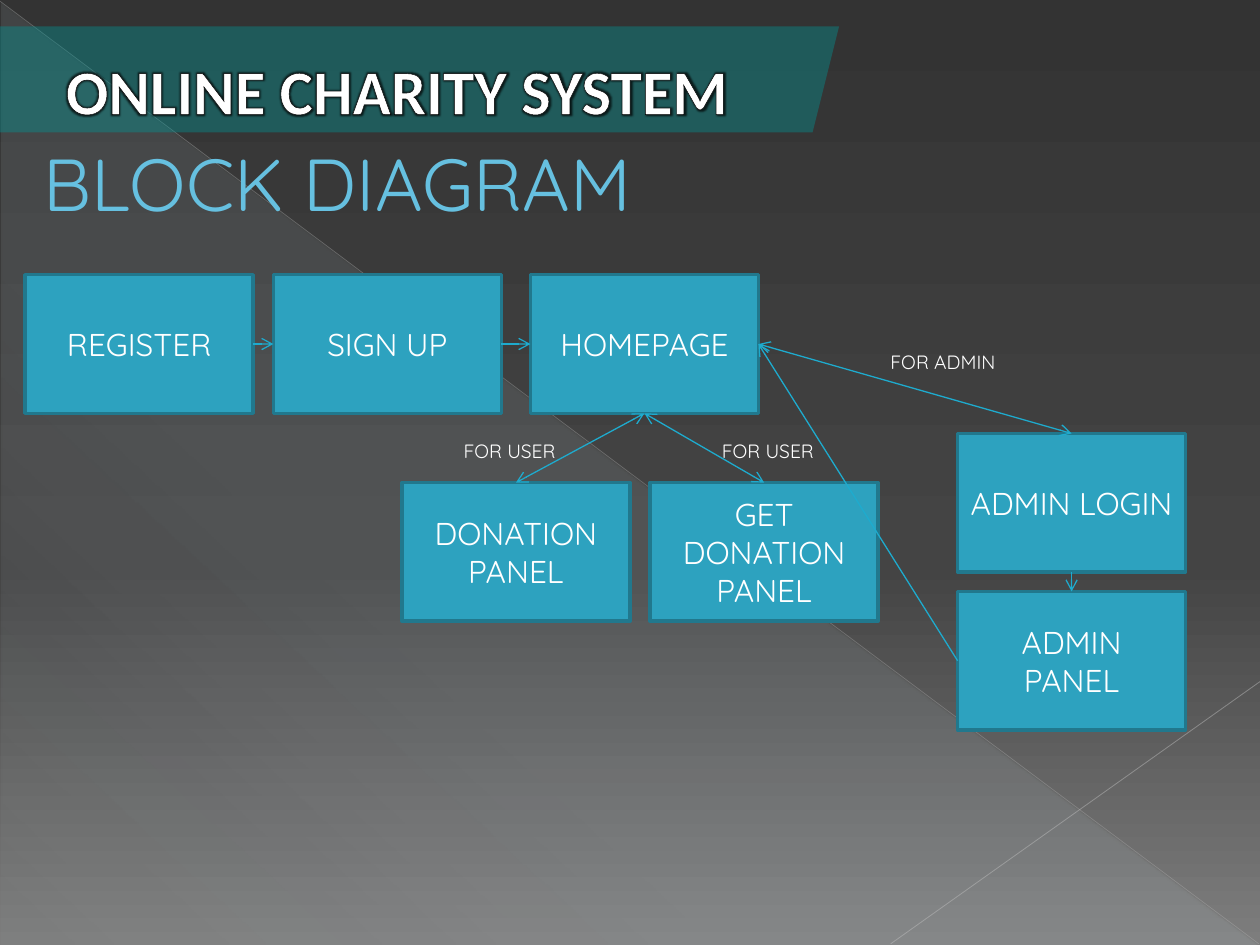
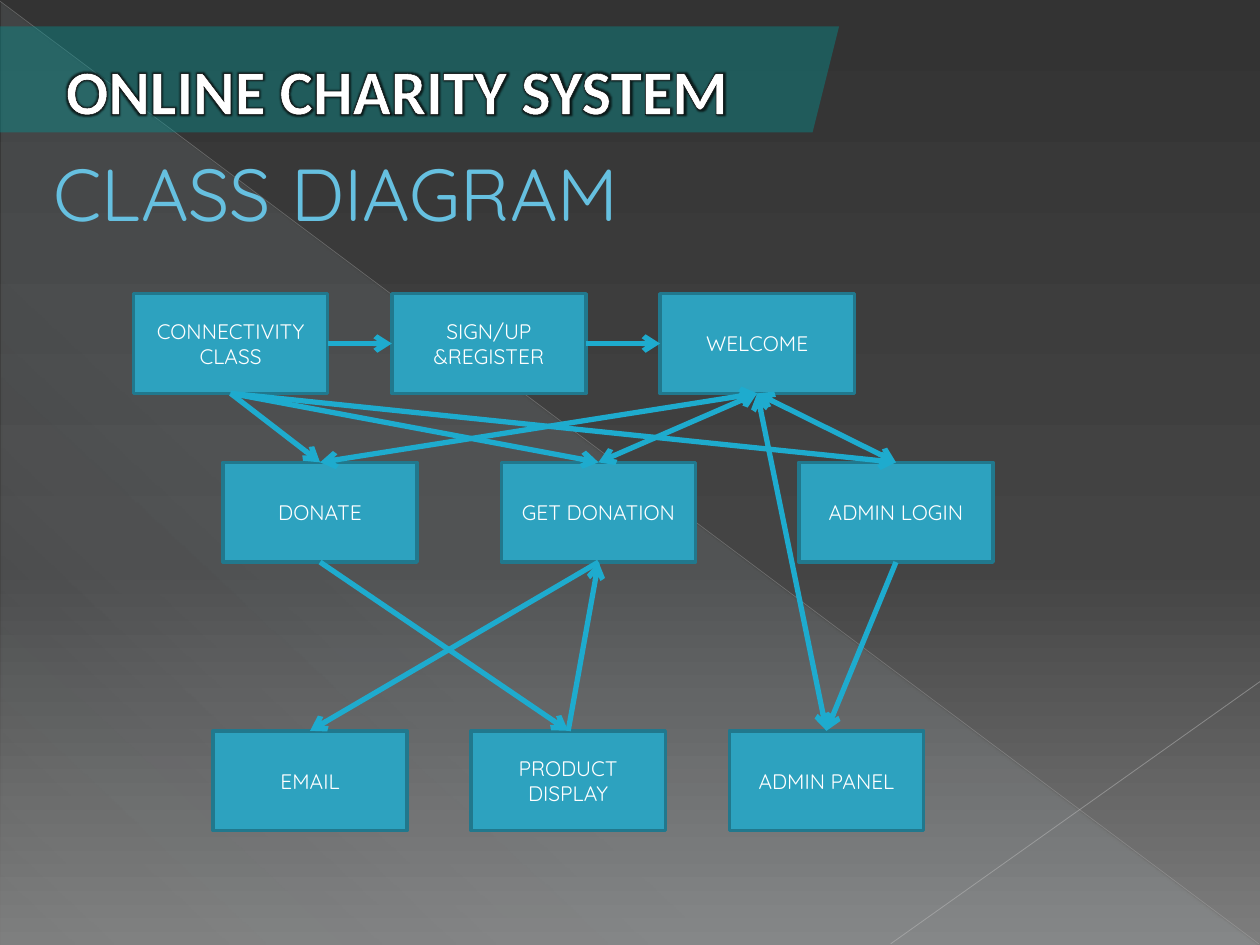
import pptx
import pptx.util
import pptx.dml.color
import pptx.enum.dml
import pptx.enum.shapes
import pptx.enum.text
import pptx.oxml
import pptx.oxml.ns
from lxml import etree

Pt = pptx.util.Pt
RGB = pptx.dml.color.RGBColor
qn = pptx.oxml.ns.qn
SHAPE = pptx.enum.shapes.MSO_SHAPE
ALIGN = pptx.enum.text.PP_ALIGN
ANCHOR = pptx.enum.text.MSO_ANCHOR

# Shared colours and fonts
WHITE = RGB(0xFF, 0xFF, 0xFF)
BLACK = RGB(0x00, 0x00, 0x00)
TITLE_BLUE = RGB(0x66, 0xC0, 0xE0)
TITLE_EDGE = RGB(0x1F, 0x70, 0x84)
BOX_FILL = RGB(0x2D, 0xA2, 0xBF)
BOX_EDGE = RGB(0x21, 0x78, 0x8D)
ARROW = RGB(0x1E, 0xAB, 0xCE)
BAND = RGB(0x00, 0x99, 0x99)
PALE = RGB(0xDE, 0xF5, 0xFA)
BACKDROP = [(0, RGB(0x33, 0x33, 0x33), 100), (60, RGB(0x44, 0x44, 0x44), 100),
            (100, RGB(0x7D, 0x7D, 0x7D), 100)]
SHEEN = [(0, PALE, 10), (70, PALE, 8), (100, PALE, 1)]
DIAGONALS = [  # start, end, colour, width, opacity
    ((0, 0.7), (719.3, 539.3), RGB(0xB9, 0xB9, 0xB9), 0.39, 35),
    ((720, 389.5), (509, 539.3), RGB(0xC1, 0xC1, 0xC1), 0.47, 45),
]
BODY_FONT, BAND_FONT = "Quicksand", "Calibri"
BAND_TEXT = "ONLINE CHARITY SYSTEM"
SIDES = {"top": 0, "left": 1, "bottom": 2, "right": 3}

# Content: boxes are name: (text, left, top);
# links are (box, side, box, side, both ends have arrowheads)
SLIDES = [
    {
        "title": "BLOCK DIAGRAM", "title_at": (-20.2, 49),
        "box_size": (130.3, 79.2), "font": 18, "line": 0.75,
        "boxes": {
            "register": ("REGISTER", 14.4, 157),
            "signup": ("SIGN UP", 156.2, 157),
            "home": ("HOMEPAGE", 303.1, 157),
            "login": ("ADMIN LOGIN", 547.2, 247.7),
            "get": ("GET DONATION\nPANEL", 371.5, 275.8),
            "donate": ("DONATION\nPANEL", 229.7, 275.8),
            "admin": ("ADMIN PANEL", 547.2, 338),
        },
        "links": [
            ("register", "right", "signup", "left", False),
            ("signup", "right", "home", "left", False),
            ("login", "bottom", "admin", "top", False),
            ("home", "bottom", "donate", "top", True),
            ("home", "bottom", "get", "top", True),
            ("home", "right", "login", "top", True),
            ("admin", "left", "home", "right", False),
        ],
        "labels": [("FOR USER", 257.8, 247.7, 73.4),
                   ("FOR USER", 405.4, 247.7, 73.4),
                   ("FOR ADMIN", 501.8, 196.6, 90.7)],
    },
    {
        "title": "CLASS DIAGRAM", "title_at": (-14.4, 54.7),
        "box_size": (111, 57), "font": 12, "line": 3,
        "boxes": {
            "connect": ("CONNECTIVITY\nCLASS", 76.3, 167.8),
            "signup": ("SIGN/UP\n&REGISTER", 223.9, 167.8),
            "welcome": ("WELCOME", 377.2, 167.8),
            "donate": ("DONATE", 127.4, 264.2),
            "get": ("GET DONATION", 286.5, 264.2),
            "login": ("ADMIN LOGIN", 456.5, 264.2),
            "email": ("EMAIL", 121.7, 417.6),
            "product": ("PRODUCT DISPLAY", 269.2, 417.6),
            "admin": ("ADMIN PANEL", 416.8, 417.6),
        },
        "links": [
            ("connect", "right", "signup", "left", False),
            ("signup", "right", "welcome", "left", False),
            ("connect", "bottom", "donate", "top", False),
            ("connect", "bottom", "get", "top", False),
            ("connect", "bottom", "login", "top", False),
            ("get", "bottom", "email", "top", False),
            ("login", "bottom", "admin", "top", False),
            ("welcome", "bottom", "donate", "top", True),
            ("welcome", "bottom", "get", "top", True),
            ("welcome", "bottom", "login", "top", True),
            ("product", "top", "get", "bottom", False),
            ("donate", "bottom", "product", "top", False),
            ("admin", "top", "welcome", "bottom", True),
        ],
        "labels": [],
    },
]


# XML helpers
def add_color(parent, color, opacity=100):
    clr = etree.SubElement(parent, qn("a:srgbClr"), val=str(color))
    if opacity < 100:
        etree.SubElement(clr, qn("a:alpha"), val=str(opacity * 1000))


def set_gradient(fill, holder, stops, angle):
    fill.gradient()
    old = holder.find(".//" + qn("a:gradFill"))
    grad = etree.Element(qn("a:gradFill"), rotWithShape="1")
    stop_list = etree.SubElement(grad, qn("a:gsLst"))
    for pos, color, opacity in stops:
        add_color(etree.SubElement(stop_list, qn("a:gs"), pos=str(pos * 1000)),
                  color, opacity)
    etree.SubElement(grad, qn("a:lin"), ang=str(angle * 60000), scaled="0")
    old.getparent().replace(old, grad)


def set_opacity(element, opacity):
    clr = element.find(".//" + qn("a:srgbClr"))
    etree.SubElement(clr, qn("a:alpha"), val=str(opacity * 1000))


def outline_text(r, color, width):
    ln = etree.Element(qn("a:ln"), w=str(Pt(width)))
    add_color(etree.SubElement(ln, qn("a:solidFill")), color)
    r.font._element.insert(0, ln)


def glow_text(r, color, radius, opacity):
    effects = etree.Element(qn("a:effectLst"))
    add_color(etree.SubElement(effects, qn("a:glow"), rad=str(Pt(radius))), color, opacity)
    r.font._element.find(qn("a:solidFill")).addnext(effects)


# Drawing helpers
def style_font(font, name, size, color, bold=False):
    font.name, font.size, font.bold = name, Pt(size), bold
    font.color.rgb = color


def add_shape(slide, kind, left, top, width, height):
    sp = slide.shapes.add_shape(kind, Pt(left), Pt(top), Pt(width), Pt(height))
    sp.shadow.inherit = False
    sp.line.fill.background()
    return sp


def add_text(slide, text, left, top, width, height):
    sp = slide.shapes.add_textbox(Pt(left), Pt(top), Pt(width), Pt(height))
    sp.text_frame.word_wrap = True
    sp.text_frame.text = text
    return sp.text_frame.paragraphs[0]


def add_line(slide, color, width, start=(0, 0), end=(0, 0)):
    cxn = slide.shapes.add_connector(pptx.enum.shapes.MSO_CONNECTOR.STRAIGHT,
                                     *[Pt(v) for v in (*start, *end)])
    cxn.line.width = Pt(width)
    cxn.line.color.rgb = color
    etree.SubElement(cxn._element.spPr, qn("a:effectLst"))
    return cxn


def add_box(slide, text, left, top, size, font_size):
    sp = add_shape(slide, SHAPE.RECTANGLE, left, top, *size)
    sp.fill.solid()
    sp.fill.fore_color.rgb = BOX_FILL
    sp.line.color.rgb = BOX_EDGE
    sp.line.width = Pt(2)
    tf = sp.text_frame
    tf.text = text
    tf.vertical_anchor = ANCHOR.MIDDLE
    for p in tf.paragraphs:
        p.alignment = ALIGN.CENTER
        style_font(p.font, BODY_FONT, font_size, WHITE)
    return sp


def add_link(slide, boxes, start, start_side, end, end_side, both, width):
    cxn = add_line(slide, ARROW, width)
    cxn.begin_connect(boxes[start], SIDES[start_side])
    cxn.end_connect(boxes[end], SIDES[end_side])
    ln = cxn.line._get_or_add_ln()
    for tag in ("a:headEnd", "a:tailEnd") if both else ("a:tailEnd",):
        etree.SubElement(ln, qn(tag), type="arrow")


def add_frame(slide, title, title_at):
    # Translucent triangle and diagonal lines
    sp = add_shape(slide, SHAPE.RIGHT_TRIANGLE, 0.7, 1.4, 718.6, 538.6)
    set_gradient(sp.fill, sp._element.spPr, SHEEN, 133)
    for start, end, color, width, opacity in DIAGONALS:
        cxn = add_line(slide, color, width, start, end)
        set_opacity(cxn._element.spPr, opacity)

    # Title, brought in front of the triangle
    sp = slide.shapes.title
    slide.shapes._spTree.append(sp._element)
    sp.left, sp.top, sp.width, sp.height = [Pt(v) for v in (*title_at, 648, 110)]
    tf = sp.text_frame
    tf.text = title
    tf.auto_size = pptx.enum.text.MSO_AUTO_SIZE.NONE
    tf.vertical_anchor = ANCHOR.MIDDLE
    p = tf.paragraphs[0]
    p.alignment = ALIGN.LEFT
    p._p.get_or_add_pPr().set("marL", str(Pt(38)))
    r = p.runs[0]
    style_font(r.font, BODY_FONT, 42, TITLE_BLUE)
    outline_text(r, TITLE_EDGE, 0.5)

    # Band with the system name
    sp = add_shape(slide, SHAPE.PARALLELOGRAM, -31, 15.1, 510.5, 60.5)
    sp.fill.solid()
    sp.fill.fore_color.rgb = BAND
    set_opacity(sp._element.spPr, 39)
    p = add_text(slide, BAND_TEXT, -82.1, 25.9, 617.8, 51.1)
    p.alignment = ALIGN.CENTER
    r = p.runs[0]
    style_font(r.font, BAND_FONT, 36, WHITE, bold=True)
    outline_text(r, BLACK, 1)
    glow_text(r, BLACK, 4, 70)


def main():
    prs = pptx.Presentation()
    prs.slide_width, prs.slide_height = Pt(720), Pt(540)
    master = prs.slide_master
    set_gradient(master.background.fill, master._element, BACKDROP, 90)

    for data in SLIDES:
        slide = prs.slides.add_slide(prs.slide_layouts.get_by_name("Title Only"))
        add_frame(slide, data["title"], data["title_at"])
        boxes = {name: add_box(slide, *box, data["box_size"], data["font"])
                 for name, box in data["boxes"].items()}
        for link in data["links"]:
            add_link(slide, boxes, *link, data["line"])
        for text, left, top, width in data["labels"]:
            p = add_text(slide, text, left, top, width, 20.9)
            style_font(p.font, BODY_FONT, 11, WHITE)

    prs.save("out.pptx")


if __name__ == "__main__":
    main()
